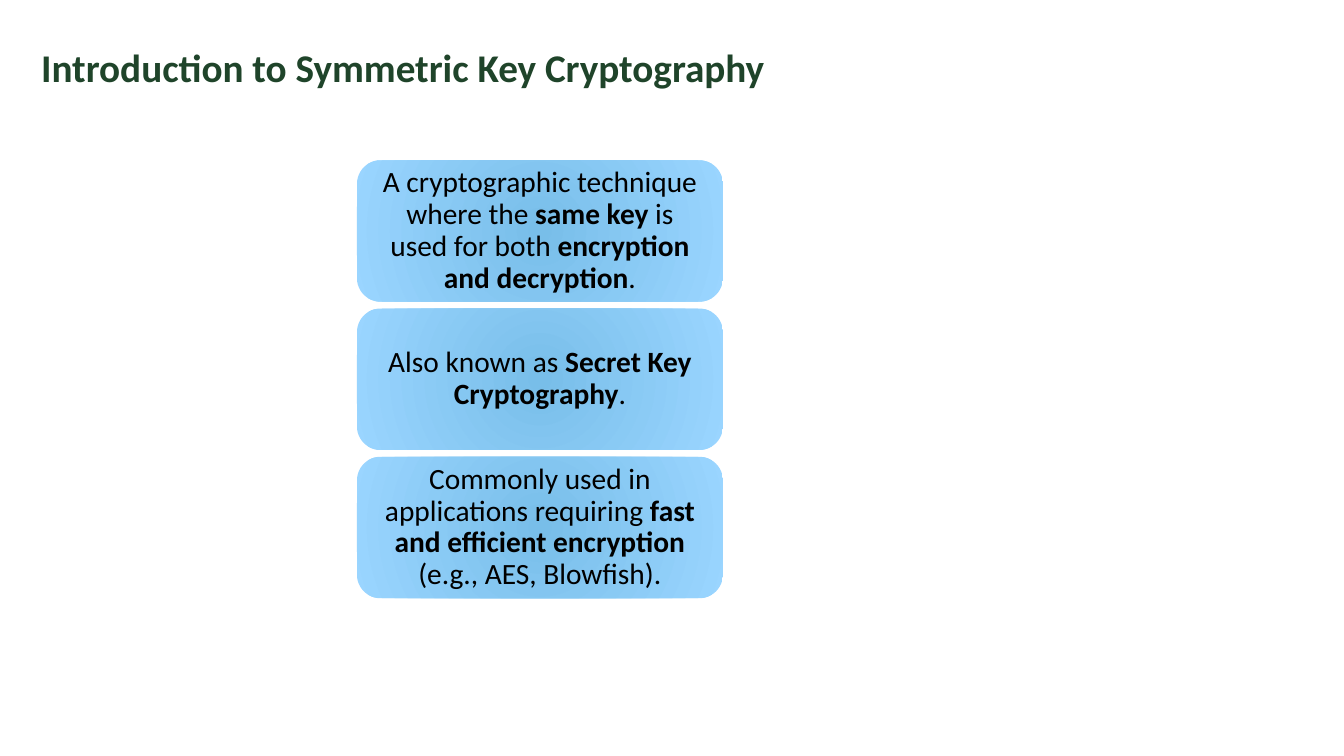
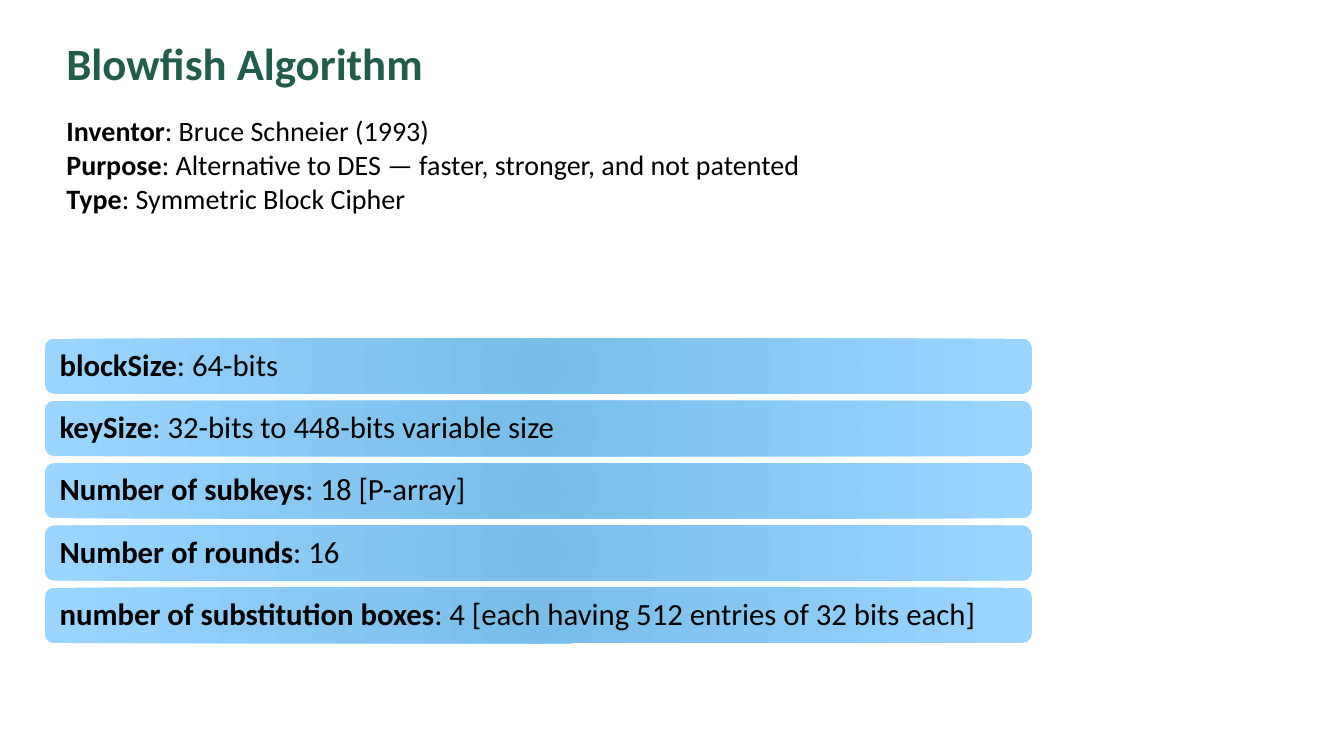
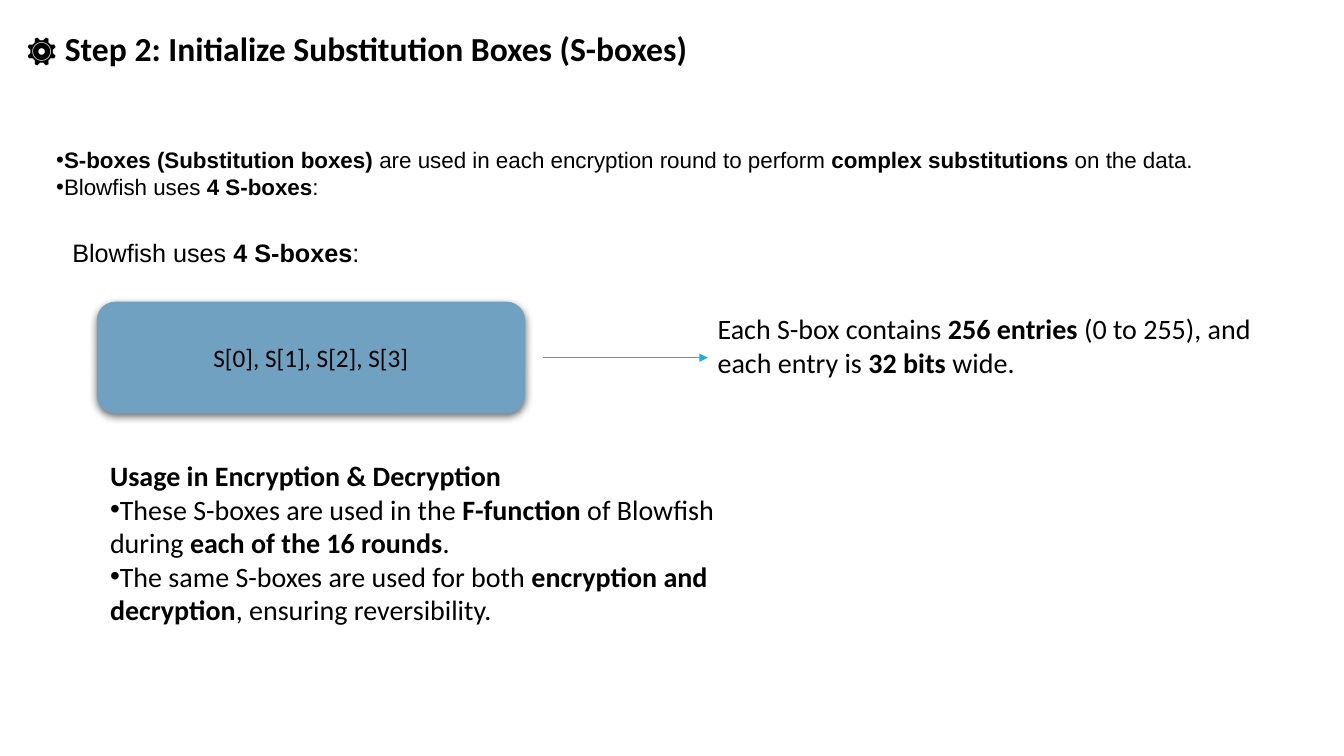
from lxml import etree
from pptx import Presentation
from pptx.dml.color import RGBColor
from pptx.enum.shapes import MSO_CONNECTOR, MSO_SHAPE
from pptx.enum.text import MSO_ANCHOR, PP_ALIGN
from pptx.oxml import parse_xml
from pptx.oxml.ns import nsdecls, qn
from pptx.util import Pt

ROUNDED = MSO_SHAPE.ROUNDED_RECTANGLE
STRAIGHT = MSO_CONNECTOR.STRAIGHT
LEFT, CENTER = PP_ALIGN.LEFT, PP_ALIGN.CENTER
TOP, MIDDLE = MSO_ANCHOR.TOP, MSO_ANCHOR.MIDDLE

COLORS = {
    "text": "000000",
    "intro_title": "1F442A",
    "blowfish_title": "215D4C",
    "card_center": "78BEE9",
    "card_edge": "9AD5FF",
    "sbox": "70A1C0",
    "arrow": "1CADE4",
}
CARD = {"anchor": MIDDLE, "spacing": 0.9}


def write(shape, paragraphs, size, font="Calibri", color="text", align=LEFT,
          anchor=TOP, spacing=1.0, insets=(7.2, 3.6)):
    """Fill a shape with text; ** toggles bold, a leading • makes a bullet."""
    tf = shape.text_frame
    side, edge = insets
    frame_format = {
        "word_wrap": True, "vertical_anchor": anchor,
        "margin_left": Pt(side), "margin_right": Pt(side),
        "margin_top": Pt(edge), "margin_bottom": Pt(edge),
    }
    for name, value in frame_format.items():
        setattr(tf, name, value)
    for i, text in enumerate(paragraphs):
        p = tf.add_paragraph() if i else tf.paragraphs[0]
        p.alignment = align
        p.line_spacing = spacing
        if text.startswith("•"):
            text = text[1:]
            pPr = p._p.get_or_add_pPr()
            pPr.set("marL", "0")
            pPr.set("indent", "0")
            etree.SubElement(pPr, qn("a:buFont")).set("typeface", "Arial")
            etree.SubElement(pPr, qn("a:buChar")).set("char", "•")
        for j, part in enumerate(text.split("**")):
            if part:
                r = p.add_run()
                r.text = part
                run_format = {"name": font, "size": Pt(size), "bold": j % 2 == 1}
                for name, value in run_format.items():
                    setattr(r.font, name, value)
                r.font.color.rgb = RGBColor.from_string(COLORS[color])


def add_cards(s, box, pitch, texts, **text_format):
    """Stack cards with a radial gradient, one per text, from box downwards."""
    left, top, width, height = box
    for i, text in enumerate(texts):
        sp = s.shapes.add_shape(ROUNDED, Pt(left), Pt(top + i * pitch),
                                Pt(width), Pt(height))
        sp.shadow.inherit = False
        sp.line.fill.background()
        sp.fill.gradient()
        for stop, name, position in zip(sp.fill.gradient_stops,
                                        ("card_center", "card_edge"), (0, 1)):
            stop.color.rgb = RGBColor.from_string(COLORS[name])
            stop.position = position
        lin = sp._element.spPr.find(qn("a:gradFill")).find(qn("a:lin"))
        lin.getparent().replace(lin, parse_xml(
            f'<a:path {nsdecls("a")} path="circle"><a:fillToRect l="100000" '
            't="100000" r="100000" b="100000"/></a:path>'))
        write(sp, [text], **CARD, **text_format)


prs = Presentation()
prs.slide_width, prs.slide_height = Pt(960), Pt(540)
blank = prs.slide_layouts[6]
intro, blowfish, sboxes = [prs.slides.add_slide(blank) for _ in range(3)]

# Titles
titles = [
    (intro, (22.3, 27.4, 702, 41), "Introduction to Symmetric Key Cryptography",
     28, "intro_title"),
    (blowfish, (40.3, 22.3, 417, 46), "Blowfish Algorithm", 32, "blowfish_title"),
    (sboxes, (11.5, 16.6, 574, 36),
     "⚙️ Step 2: Initialize Substitution Boxes (S-boxes)", 24, "text"),
]
for s, box, title, size, color in titles:
    sp = s.shapes.add_textbox(*map(Pt, box))
    write(sp, [f"**{title}**"], size, color=color)

# Introduction
add_cards(intro, (255, 114.5, 261.4, 101), 105.9, [
    "A cryptographic technique where the **same key** is used for both "
    "**encryption and decryption**.",
    "Also known as **Secret Key Cryptography**.",
    "Commonly used in applications requiring **fast and efficient encryption** "
    "(e.g., AES, Blowfish).",
], size=21, align=CENTER, insets=(11.5, 3))

# Blowfish
sp = blowfish.shapes.add_textbox(Pt(40.3), Pt(77.8), Pt(783), Pt(80))
write(sp, [
    "**Inventor**: Bruce Schneier (1993)",
    "**Purpose**: Alternative to DES — faster, stronger, and not patented",
    "**Type**: Symmetric Block Cipher",
], 20)
add_cards(blowfish, (32, 241.8, 705, 39.5), 44.5, [
    "**blockSize**: 64-bits",
    "**keySize**: 32-bits to 448-bits variable size",
    "**Number of subkeys**: 18 [P-array]",
    "**Number of rounds**: 16",
    "**number of substitution boxes**: 4 [each having 512 entries of 32 bits each]",
], size=22, insets=(8.6, 6))

# S-boxes
sp = sboxes.shapes.add_textbox(Pt(33.1), Pt(101), Pt(837), Pt(45))
write(sp, [
    "•**S-boxes (Substitution boxes)** are used in each encryption round to "
    "perform **complex substitutions** on the data.",
    "•Blowfish uses **4 S-boxes**:",
], 16, font="Arial")
sp = sboxes.shapes.add_textbox(Pt(44.6), Pt(166.2), Pt(222), Pt(29))
write(sp, ["Blowfish uses **4 S-boxes**:"], 18, font="Arial")

sp = sboxes.shapes.add_shape(ROUNDED, Pt(69.1), Pt(215.5), Pt(306), Pt(80))
sp.fill.solid()
sp.fill.fore_color.rgb = RGBColor.from_string(COLORS["sbox"])
sp.line.fill.background()
sp._element.spPr.append(parse_xml(
    f'<a:effectLst {nsdecls("a")}><a:outerShdw blurRad="{Pt(6)}" dist="{Pt(2)}" '
    'dir="5400000" algn="ctr" rotWithShape="0"><a:srgbClr val="000000">'
    '<a:alpha val="60000"/></a:srgbClr></a:outerShdw></a:effectLst>'))
write(sp, ["S[0], S[1], S[2], S[3]"], 18, align=CENTER, anchor=MIDDLE)

entries = sboxes.shapes.add_textbox(Pt(505.5), Pt(219), Pt(410), Pt(73))
write(entries, ["Each S-box contains **256 entries** (0 to 255), and each entry is "
                "**32 bits** wide."], 20)
arrow = sboxes.shapes.add_connector(STRAIGHT, Pt(388), Pt(255.5), Pt(505.5), Pt(255.5))
arrow.end_connect(entries, 1)
arrow.line.color.rgb = RGBColor.from_string(COLORS["arrow"])
arrow.line.width = Pt(0.75)
etree.SubElement(arrow.line._get_or_add_ln(), qn("a:tailEnd")).set("type", "triangle")
etree.SubElement(arrow._element.spPr, qn("a:effectLst"))

sp = sboxes.shapes.add_textbox(Pt(71.5), Pt(324), Pt(480), Pt(128))
write(sp, [
    "**Usage in Encryption & Decryption**",
    "•These S-boxes are used in the **F-function** of Blowfish during "
    "**each of the 16 rounds**.",
    "•The same S-boxes are used for both **encryption and decryption**, "
    "ensuring reversibility.",
], 20)

prs.save("out.pptx")
